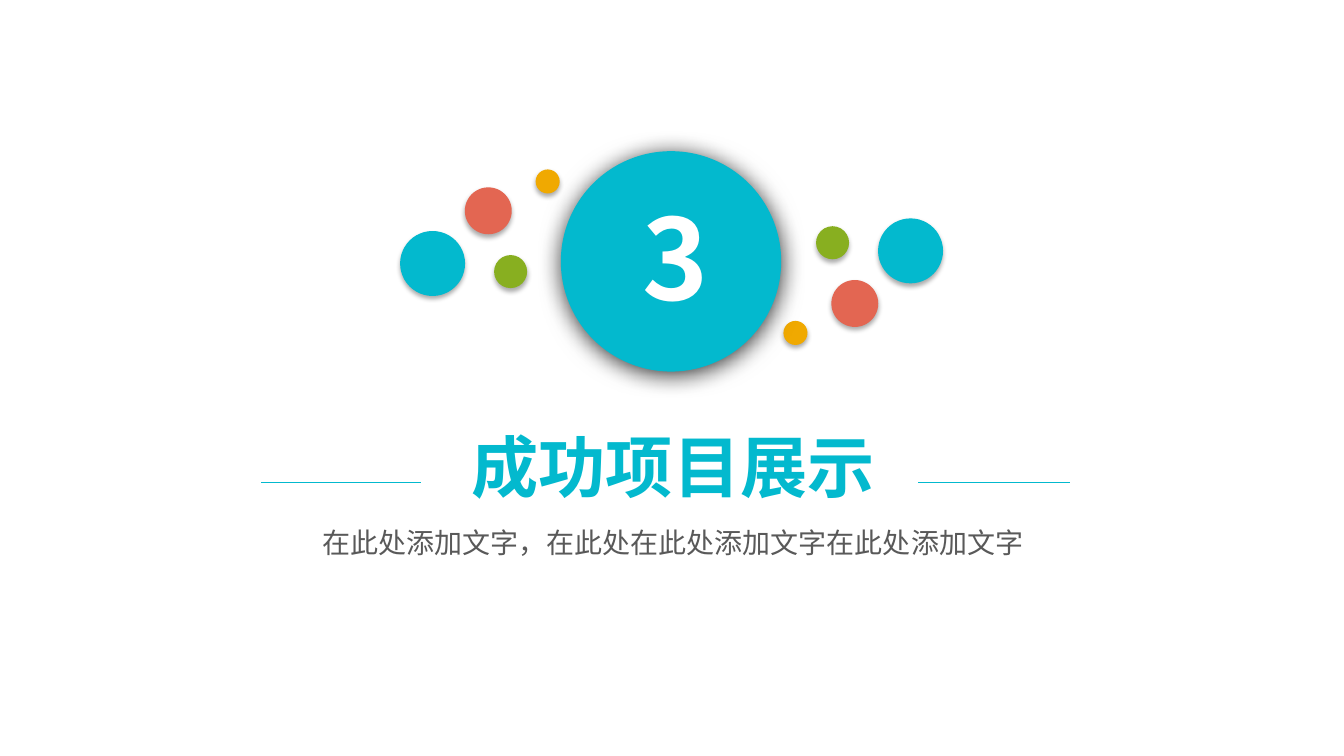
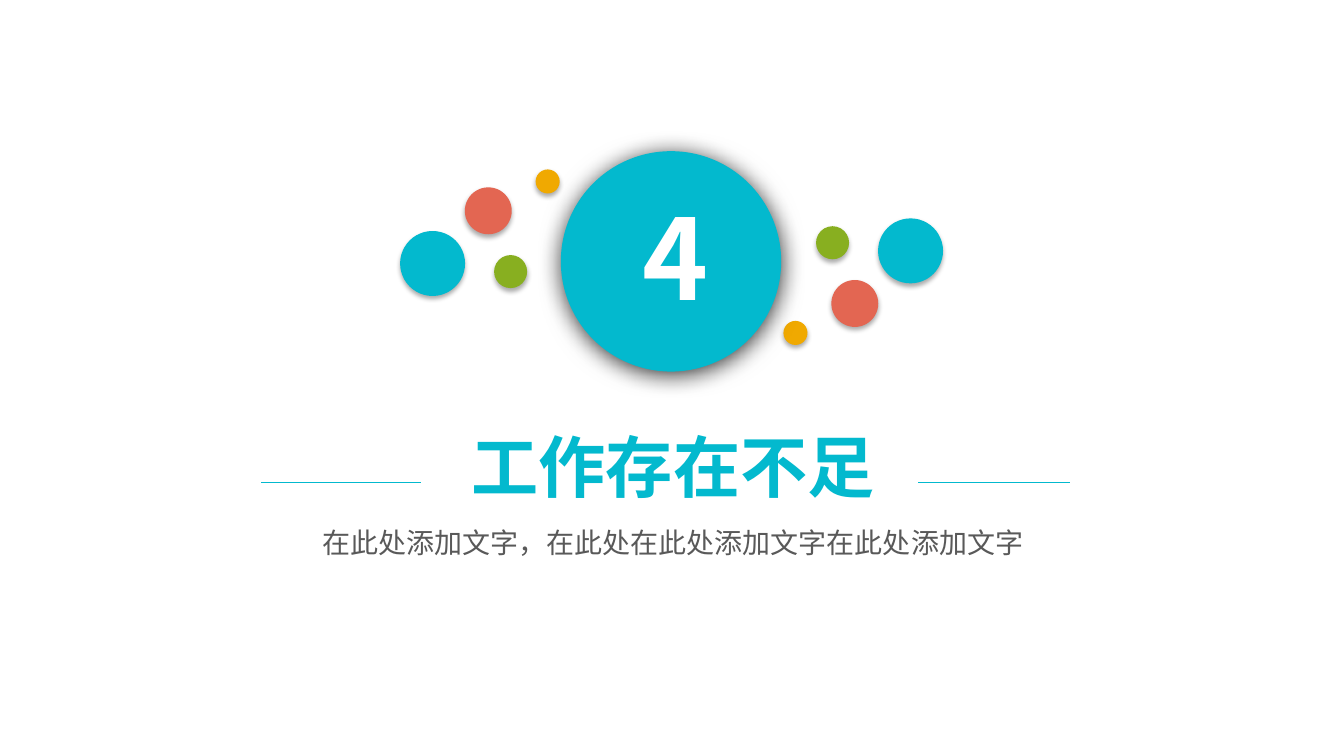
from lxml import etree
from pptx import Presentation
from pptx.dml.color import RGBColor
from pptx.enum import shapes, text
from pptx.oxml.ns import qn
from pptx.util import Pt

COLORS = {
    "teal": "03B9CE",
    "green": "88AF20",
    "amber": "F0A901",
    "coral": "E36652",
    "gray": "595959",
    "white": "FFFFFF",
    "black": "000000",
}
FONT = "Noto Sans CJK SC"
FORMATS = {
    "number": {"size": Pt(80), "bold": True, "color": "white"},
    "title": {"size": Pt(48), "bold": True, "color": "teal"},
    "subtitle": {"size": Pt(20), "bold": False, "color": "gray"},
}
SOFT_SHADOW = {"alpha": 32, "blur": 3.5}
DEEP_SHADOW = {"alpha": 80, "blur": 17}
DOTS = [
    ("teal", 46.4, 0, 0),
    ("green", 23.6, 55.7, 5.8),
    ("amber", 17.2, 82.2, -58.6),
    ("coral", 33.5, 39.8, -37.6),
]
CLUSTERS = [(309, 188.2, 1), (650.4, 179.2, -1)]
RULES = [(186.5, 301), (656, 764.6)]
RULE_Y = 345
SUBTITLE = "在此处添加文字，在此处在此处添加文字在此处添加文字"
SECTIONS = [("3", "成功项目展示"), ("4", "工作存在不足")]


def rgb(name):
    return RGBColor.from_string(COLORS[name])


def add_shadow(sp, alpha, blur):
    sp.shadow.inherit = False
    effects = sp._element.spPr.find(qn("a:effectLst"))
    shadow = etree.SubElement(effects, qn("a:outerShdw"), {
        "blurRad": str(int(Pt(blur))),
        "dist": str(int(Pt(2.2))),
        "dir": "5400000",
        "algn": "t",
        "rotWithShape": "0",
    })
    color = etree.SubElement(shadow, qn("a:srgbClr"), val=COLORS["black"])
    etree.SubElement(color, qn("a:alpha"), val=str(alpha * 1000))


def add_circle(parent, x, y, diameter, color, shadow):
    left, top = x - diameter / 2, y - diameter / 2
    sp = parent.shapes.add_shape(
        shapes.MSO_SHAPE.OVAL, Pt(left), Pt(top), Pt(diameter), Pt(diameter))
    sp.fill.solid()
    sp.fill.fore_color.rgb = rgb(color)
    sp.line.fill.background()
    add_shadow(sp, **shadow)


def add_cluster(s, x, y, sign):
    group = s.shapes.add_group_shape()
    for color, diameter, dx, dy in DOTS:
        add_circle(group, x + sign * dx, y + sign * dy, diameter, color, SOFT_SHADOW)


def write(sp, content, style, wrap=True):
    tf = sp.text_frame
    settings = {
        "word_wrap": wrap,
        "auto_size": text.MSO_AUTO_SIZE.NONE,
        "vertical_anchor": text.MSO_ANCHOR.MIDDLE,
    }
    for name, value in settings.items():
        setattr(tf, name, value)
    p = tf.paragraphs[0]
    p.alignment = text.PP_ALIGN.CENTER
    r = p.add_run()
    r.text = content
    r.font.name = FONT
    for name, value in FORMATS[style].items():
        if name == "color":
            r.font.color.rgb = rgb(value)
        else:
            setattr(r.font, name, value)
    etree.SubElement(r._r.get_or_add_rPr(), qn("a:ea"), typeface=FONT)


def add_title(s, content):
    sp = s.shapes.title
    box = {"left": 278.6, "top": 300.2, "width": 404.6, "height": 65.5}
    for name, value in box.items():
        setattr(sp, name, Pt(value))
    write(sp, content, "title")


def add_text(parent, left, top, width, height, content, style, wrap=True):
    sp = parent.shapes.add_textbox(Pt(left), Pt(top), Pt(width), Pt(height))
    write(sp, content, style, wrap)


def add_badge(s, number):
    group = s.shapes.add_group_shape()
    add_circle(group, 479.3, 186.7, 157.4, "teal", DEEP_SHADOW)
    add_text(group, 450.7, 130.3, 64, 104.4, number, "number", wrap=False)


def add_rule(s, start, end):
    line = s.shapes.add_connector(
        shapes.MSO_CONNECTOR.STRAIGHT, Pt(start), Pt(RULE_Y), Pt(end), Pt(RULE_Y))
    line.line.color.rgb = rgb("teal")
    line.line.width = Pt(0.75)
    etree.SubElement(line._element.spPr, qn("a:effectLst"))


def add_section(prs, number, title):
    s = prs.slides.add_slide(prs.slide_layouts[5])
    add_title(s, title)
    for cluster in CLUSTERS:
        add_cluster(s, *cluster)
    add_badge(s, number)
    add_text(s, 103.7, 371.5, 753.8, 31.7, SUBTITLE, "subtitle")
    for rule in RULES:
        add_rule(s, *rule)


def main():
    prs = Presentation()
    prs.slide_width, prs.slide_height = Pt(960), Pt(540)
    for number, title in SECTIONS:
        add_section(prs, number, title)
    prs.save("out.pptx")


if __name__ == "__main__":
    main()
